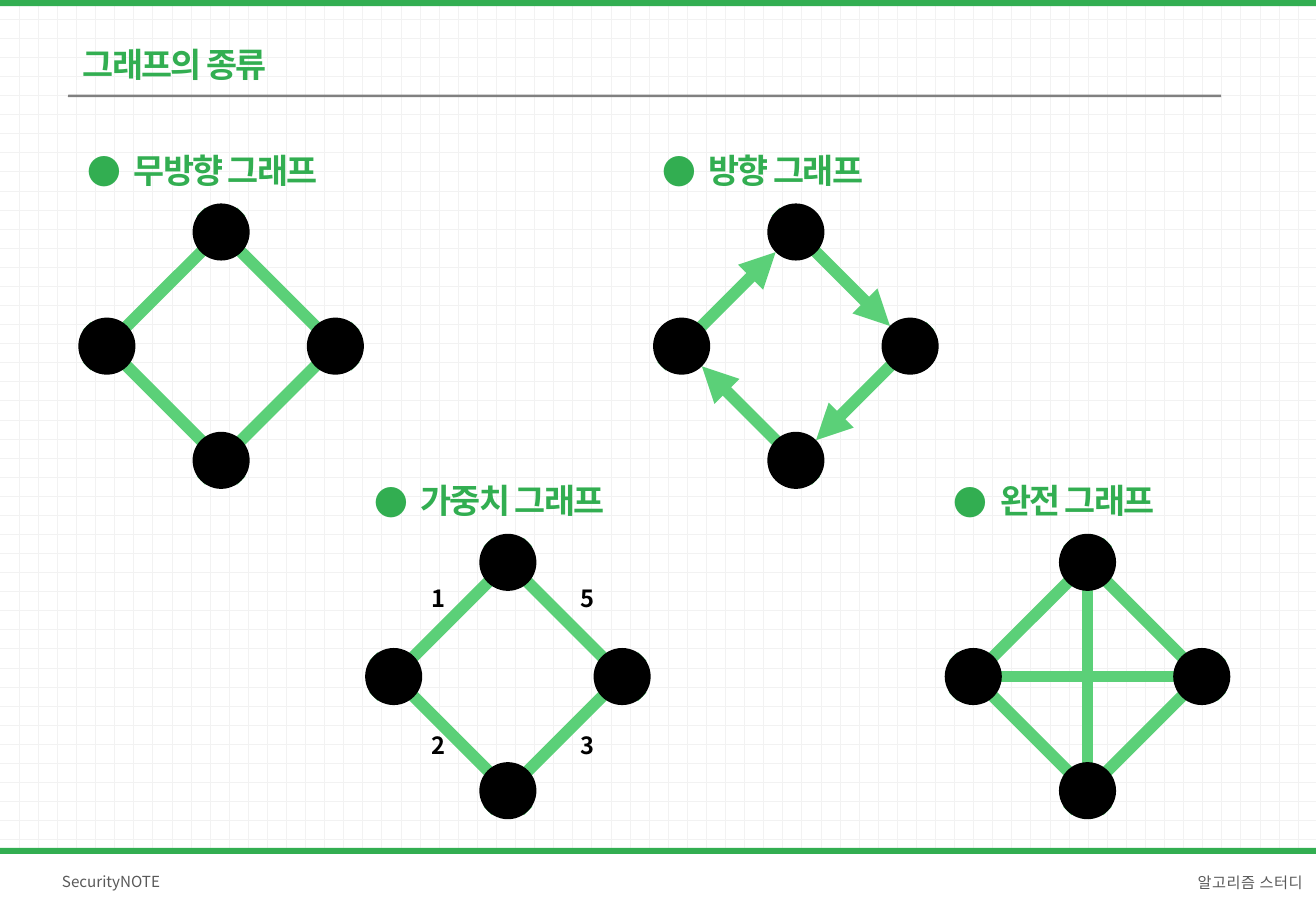
import math

import lxml.etree
import pptx
import pptx.dml.color
import pptx.enum.dml
import pptx.enum.shapes
import pptx.enum.text
import pptx.oxml.ns
import pptx.util

Inches = pptx.util.Inches
Pt = pptx.util.Pt
PRESET = pptx.enum.shapes.MSO_SHAPE
ALIGN = pptx.enum.text.PP_ALIGN
ANCHOR = pptx.enum.text.MSO_ANCHOR

COLORS = {"green": "32AE51", "edge": "5BD078", "node": "000000", "rule": "808080",
          "footer": "595959", "paper": "FFFFFF", "grid": "F2F2F2"}
FONT = "Noto Sans CJK KR"
SLIDE_W, SLIDE_H = 10.83, 7.5
REACH = 0.94         # graph centre to node centre
NODE_RADIUS = 0.235
DIRECTIONS = {"top": (0, -1), "right": (1, 0), "bottom": (0, 1), "left": (-1, 0)}
RING = [("top", "right"), ("right", "bottom"), ("bottom", "left"), ("left", "top")]
DIAGONALS = [("top", "bottom"), ("right", "left")]


def rgb(name):
    return pptx.dml.color.RGBColor.from_string(COLORS[name])


def add_child(parent, tag, **attributes):
    child = lxml.etree.SubElement(parent, pptx.oxml.ns.qn(tag))
    for key, value in attributes.items():
        child.set(key, value)
    return child


class GraphSlide:
    def __init__(self, slide):
        self.slide = slide
        self.shapes = slide.shapes

    def background(self):
        fill = self.slide.background.fill
        fill.patterned()
        fill.pattern = pptx.enum.dml.MSO_PATTERN.DOTTED_GRID
        fill.fore_color.rgb = rgb("grid")
        fill.back_color.rgb = rgb("paper")

    def shape(self, preset, left, top, width, height, color):
        shape = self.shapes.add_shape(preset, Inches(left), Inches(top),
                                      Inches(width), Inches(height))
        shape.shadow.inherit = False
        shape.fill.solid()
        shape.fill.fore_color.rgb = rgb(color)
        shape.line.fill.background()

    def text(self, words, left, top, width, height, size, color, bold=False, spacing=0,
             line_spacing=None, align=None, anchor=ANCHOR.TOP, bullet=False,
             wrap=True, margins=(0.12, 0.06)):
        box = self.shapes.add_textbox(Inches(left), Inches(top), Inches(width), Inches(height))
        frame = box.text_frame
        frame.word_wrap = wrap
        frame.vertical_anchor = anchor
        frame.margin_left = frame.margin_right = Inches(margins[0])
        frame.margin_top = frame.margin_bottom = Inches(margins[1])
        paragraph = frame.paragraphs[0]
        if bullet:
            properties = paragraph._p.get_or_add_pPr()
            properties.set("marL", str(Inches(0.38)))
            properties.set("indent", str(-Inches(0.38)))
            add_child(properties, "a:buFont", typeface=FONT)
            add_child(properties, "a:buChar", char="●")
        paragraph.alignment = align
        paragraph.line_spacing = line_spacing
        run = paragraph.add_run()
        run.text = words
        run.font.size = Pt(size)
        run.font.bold = bold
        run.font.color.rgb = rgb(color)
        run.font.name = FONT
        run_properties = run.font._element
        add_child(run_properties, "a:ea", typeface=FONT)
        if spacing:
            run_properties.set("spc", str(round(spacing * 100)))

    def heading(self, words, left, top, width, height, bullet=False):
        self.text(words, left, top, width, height, 20, "green", bold=True,
                  spacing=-1, line_spacing=2.0, bullet=bullet)

    def edge(self, start, end, arrow):
        """Runs to the far rim of both nodes; an arrow stops at the near rim."""
        length = math.dist(start, end)
        dx, dy = [(b - a) / length * NODE_RADIUS for a, b in zip(start, end)]
        sign = -1 if arrow else 1
        line = self.shapes.add_connector(
            pptx.enum.shapes.MSO_CONNECTOR.STRAIGHT,
            Inches(start[0] - dx), Inches(start[1] - dy),
            Inches(end[0] + sign * dx), Inches(end[1] + sign * dy))
        line.line.color.rgb = rgb("edge")
        line.line.width = Pt(7)
        if arrow:
            add_child(line.line._get_or_add_ln(), "a:tailEnd", type="triangle")
        add_child(line._element.spPr, "a:effectLst")

    def graph(self, title, cx, cy, edges=RING, arrow=False, weights=()):
        self.shapes = self.slide.shapes.add_group_shape().shapes
        self.heading(title, cx - 1.22, cy - 2.01, 2.77, 0.79, bullet=True)
        nodes = {side: (cx + dx * REACH, cy + dy * REACH)
                 for side, (dx, dy) in DIRECTIONS.items()}
        for start, end in edges:
            self.edge(nodes[start], nodes[end], arrow)
        for x, y in nodes.values():
            self.shape(PRESET.FLOWCHART_CONNECTOR, x - NODE_RADIUS, y - NODE_RADIUS,
                       2 * NODE_RADIUS, 2 * NODE_RADIUS, "node")
        # Weights read row by row, left then right
        for index, weight in enumerate(weights):
            row, column = divmod(index, 2)
            self.text(weight, cx + (-0.73, 0.5)[column], cy + (-0.81, 0.4)[row], 0.32, 0.34,
                      14, "node", bold=True, wrap=False, margins=(0.1, 0.05))
        self.shapes = self.slide.shapes


def main():
    deck = pptx.Presentation()
    deck.slide_width, deck.slide_height = Inches(SLIDE_W), Inches(SLIDE_H)
    page = GraphSlide(deck.slides.add_slide(deck.slide_layouts[6]))
    page.background()

    # Header
    page.heading("그래프의 종류", 0.56, -0.03, 5.13, 0.68)
    page.shape(PRESET.RECTANGLE, 0, 0, SLIDE_W, 0.05, "green")
    page.shape(PRESET.ROUNDED_RECTANGLE, 0.56, 0.78, 9.49, 0.02, "rule")

    # Footer
    page.shape(PRESET.RECTANGLE, 0, 6.98, SLIDE_W, 0.52, "paper")
    page.shape(PRESET.RECTANGLE, 0, 6.98, SLIDE_W, 0.05, "green")
    page.text("SecurityNOTE", 0.39, 7.02, 1.97, 0.47, 9, "footer", anchor=ANCHOR.MIDDLE)
    page.text("알고리즘 스터디", 8.38, 7.06, 2.46, 0.37, 9, "footer", spacing=0.3,
              line_spacing=1.3, align=ALIGN.RIGHT, anchor=ANCHOR.MIDDLE)

    # Graph types
    upper, lower = 2.85, 5.57
    page.graph("무방향 그래프", 1.82, upper)
    page.graph("방향 그래프", 6.55, upper, arrow=True)
    page.graph("완전 그래프", 8.95, lower, edges=DIAGONALS + RING)
    page.graph("가중치 그래프", 4.18, lower, weights="1523")

    deck.save("out.pptx")


if __name__ == "__main__":
    main()
